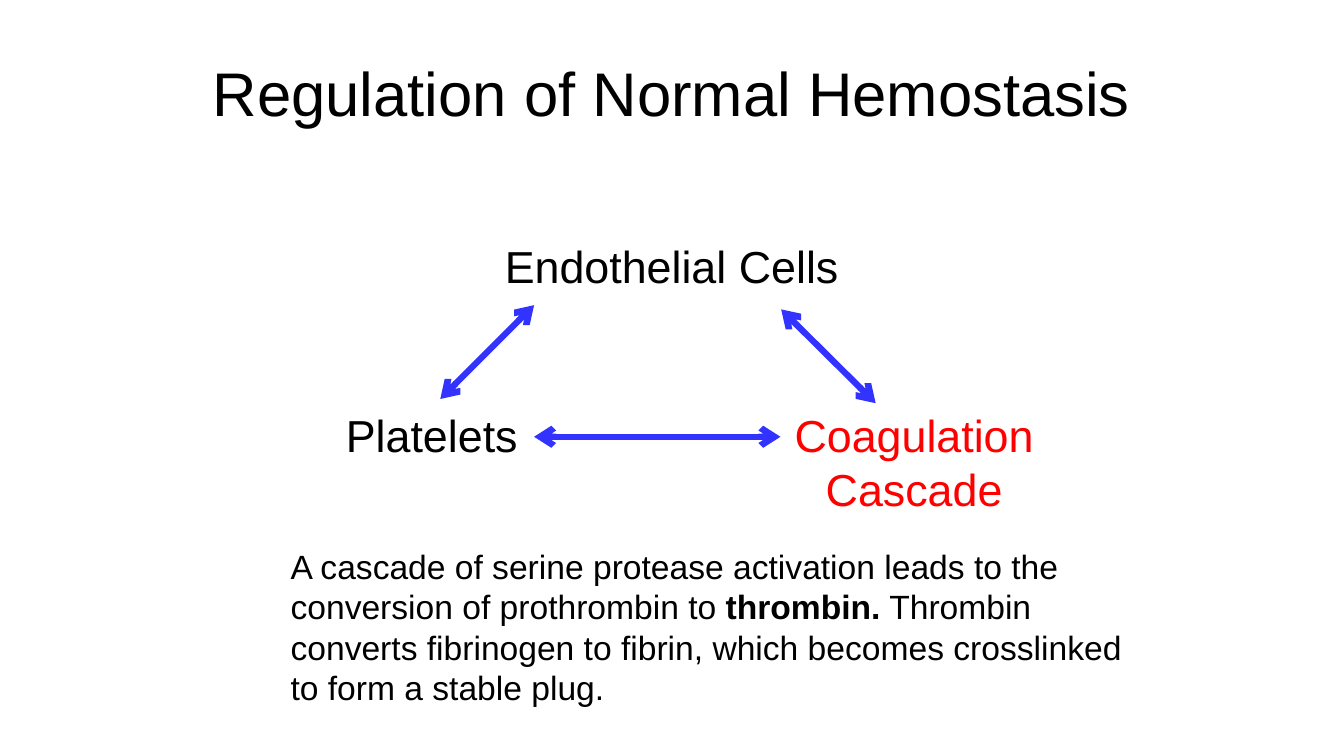
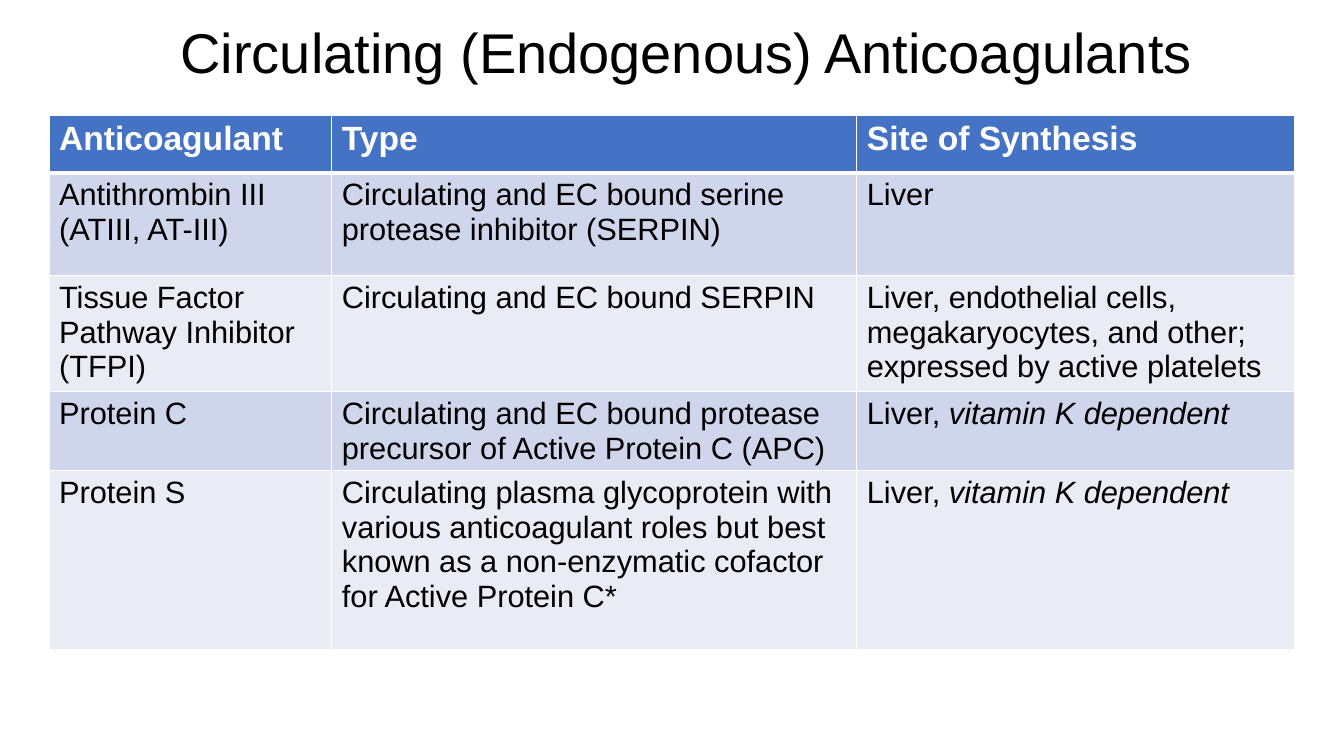
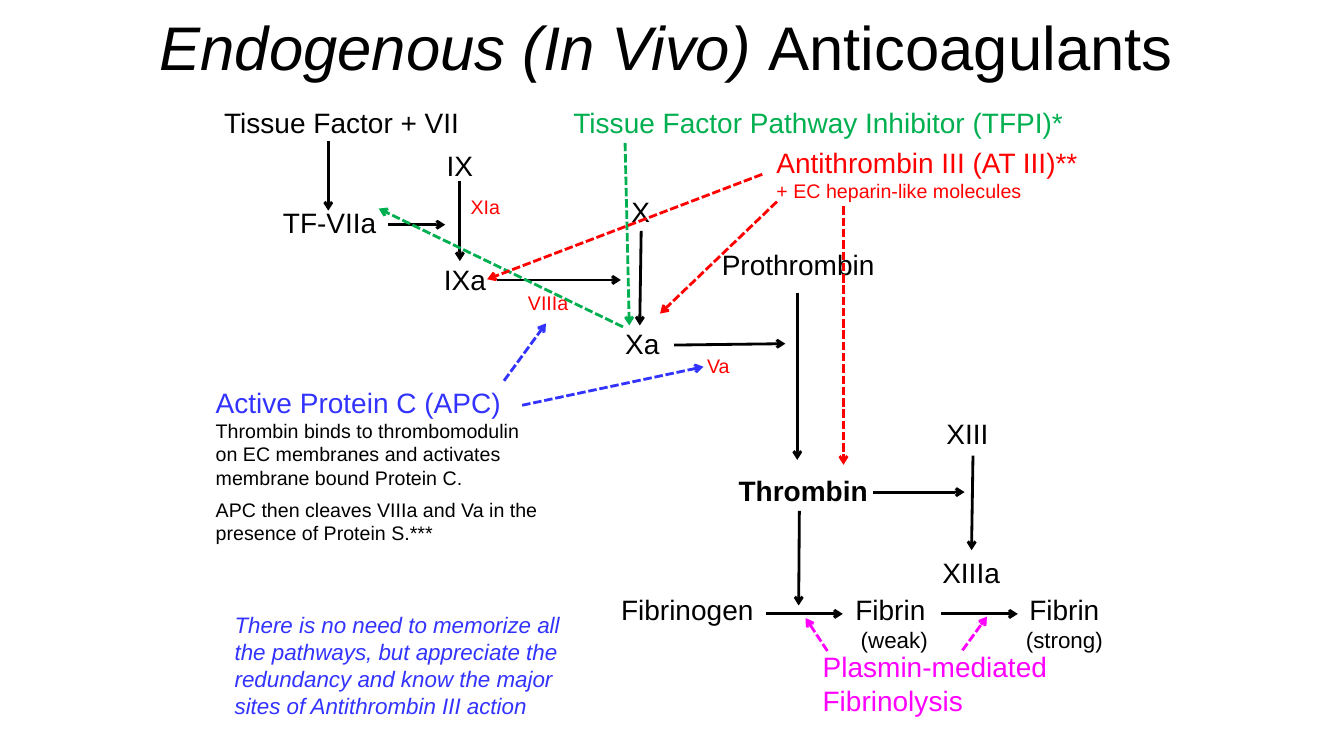
import dataclasses

import pptx
import pptx.dml.color
import pptx.enum.dml
import pptx.enum.shapes
import pptx.enum.text
import pptx.oxml
import pptx.oxml.ns
import pptx.util

Pt = pptx.util.Pt
CENTER = pptx.enum.text.PP_ALIGN.CENTER
LEFT = pptx.enum.text.PP_ALIGN.LEFT


@dataclasses.dataclass(frozen=True)
class Theme:
    font: str = "Arial"
    black: str = "000000"
    white: str = "FFFFFF"
    red: str = "FF0000"
    green: str = "00B050"
    blue: str = "3333FF"
    magenta: str = "FF00FF"
    header_fill: str = "4472C4"
    row_fills: tuple = ("CFD5EA", "E9EBF5")
    title: float = 44
    long_title: float = 40
    diagram: float = 32
    body: float = 24
    cell: float = 22
    label: float = 20
    note: float = 16
    small: float = 14


THEME = Theme()


def rgb(color):
    return pptx.dml.color.RGBColor.from_string(color)


def xml_element(tag, content="", **attributes):
    values = "".join(f' {name}="{value}"' for name, value in attributes.items())
    namespace = pptx.oxml.ns.nsdecls("a")
    return pptx.oxml.parse_xml(f"<a:{tag} {namespace}{values}>{content}</a:{tag}>")


def write(frame, text, *, size, color=THEME.black, bold=False, italic=False,
          align=LEFT, line_spacing=None, space_after=0):
    """Write one paragraph; text is a string or a list of (string, run format) pairs."""
    paragraph = frame.paragraphs[0]
    if paragraph.runs:
        paragraph = frame.add_paragraph()
    paragraph.alignment = align
    paragraph.line_spacing = line_spacing
    paragraph.space_after = Pt(space_after)
    parts = [(text, {})] if isinstance(text, str) else text
    for content, changes in parts:
        run = paragraph.add_run()
        run.text = content
        run.font.name = THEME.font
        run.font.size = Pt(size)
        run.font.bold = changes.get("bold", bold)
        run.font.italic = changes.get("italic", italic)
        run.font.color.rgb = rgb(color)


class Deck:
    def __init__(self, width, height):
        self.presentation = pptx.Presentation()
        self.presentation.slide_width = Pt(width)
        self.presentation.slide_height = Pt(height)
        self.slide = None

    def new_slide(self):
        self.slide = self.presentation.slides.add_slide(self.presentation.slide_layouts[6])

    def title(self, text, box, size=THEME.title):
        shape = self.slide.shapes.add_textbox(*map(Pt, box))
        frame = shape.text_frame
        frame.word_wrap = True
        frame.vertical_anchor = pptx.enum.text.MSO_ANCHOR.MIDDLE
        write(frame, text, size=size, align=CENTER, line_spacing=0.9)

    def text(self, text, box, wrap=False, **text_format):
        """Add a text box that grows with its text and return its frame."""
        shape = self.slide.shapes.add_textbox(*map(Pt, box))
        frame = shape.text_frame
        frame.word_wrap = wrap
        frame.auto_size = pptx.enum.text.MSO_AUTO_SIZE.SHAPE_TO_FIT_TEXT
        write(frame, text, **text_format)
        return frame

    def arrow(self, points, color=THEME.black, width=2, dashed=False, both_ends=False):
        connector = self.slide.shapes.add_connector(
            pptx.enum.shapes.MSO_CONNECTOR.STRAIGHT, *map(Pt, points))
        connector.line.color.rgb = rgb(color)
        connector.line.width = Pt(width)
        if dashed:
            connector.line.dash_style = pptx.enum.dml.MSO_LINE.SQUARE_DOT
        line = connector.get_or_add_ln()
        for end in ("headEnd", "tailEnd") if both_ends else ("tailEnd",):
            line.append(xml_element(end, type="arrow"))
        connector.element.spPr.append(xml_element("effectLst"))

    def table(self, rows, left, top, widths, heights):
        table = self.slide.shapes.add_table(
            len(rows), len(widths), Pt(left), Pt(top),
            Pt(sum(widths)), Pt(sum(heights))).table
        for column, width in zip(table.columns, widths):
            column.width = Pt(width)
        for row, height in zip(table.rows, heights):
            row.height = Pt(height)
        for row_index, row in enumerate(rows):
            header = row_index == 0
            fill = THEME.header_fill if header else THEME.row_fills[(row_index - 1) % 2]
            for column_index, paragraphs in enumerate(row):
                cell = table.cell(row_index, column_index)
                cell.margin_bottom = Pt(0)
                self.cell_borders(cell, top=3 if row_index == 1 else 1,
                                  bottom=3 if header else 1)
                cell.fill.solid()
                cell.fill.fore_color.rgb = rgb(fill)
                for text in paragraphs:
                    write(cell.text_frame, text, bold=header,
                          size=THEME.body if header else THEME.cell,
                          color=THEME.white if header else THEME.black)

    def cell_borders(self, cell, top, bottom):
        properties = cell._tc.get_or_add_tcPr()
        fill = f'<a:solidFill><a:srgbClr val="{THEME.white}"/></a:solidFill>'
        for side, width in (("lnL", 1), ("lnR", 1), ("lnT", top), ("lnB", bottom)):
            properties.append(xml_element(side, fill, w=int(Pt(width))))


def regulation_slide(deck):
    deck.new_slide()
    deck.title("Regulation of Normal Hemostasis", (120, 24, 720, 90))
    deck.text("Endothelial Cells", (353.5, 167, 268, 46), wrap=True, size=THEME.diagram)
    deck.text("Platelets", (240, 288, 177, 46), wrap=True, size=THEME.diagram)
    deck.text("Coagulation Cascade", (558, 288, 190, 85), wrap=True,
              size=THEME.diagram, color=THEME.red, align=CENTER)
    for points in ((381.5, 312, 557.5, 312), (314.5, 285, 381.5, 218),
                   (625.5, 288, 558, 221)):
        deck.arrow(points, THEME.blue, width=4.5, both_ends=True)
    deck.text([
        ("A cascade of serine protease activation leads to the conversion of "
         "prothrombin to ", {}),
        ("thrombin.", {"bold": True}),
        (" Thrombin converts fibrinogen to fibrin, which becomes crosslinked "
         "to form a stable plug.", {}),
    ], (200.5, 386.5, 620.5, 147.5), wrap=True, size=THEME.body)


def anticoagulant_table_slide(deck):
    deck.new_slide()
    deck.title("Circulating (Endogenous) Anticoagulants", (77, 0, 826, 79.5),
               THEME.long_title)
    vitamin_dependent = [("Liver, ", {}), ("vitamin K dependent", {"italic": True})]
    rows = [
        (["Anticoagulant"], ["Type"], ["Site of Synthesis"]),
        (["Antithrombin III", "(ATIII, AT-III)"],
         ["Circulating and EC bound serine protease inhibitor (SERPIN)"],
         ["Liver"]),
        (["Tissue Factor Pathway Inhibitor (TFPI)"],
         ["Circulating and EC bound SERPIN"],
         ["Liver, endothelial cells, megakaryocytes, and other; "
          "expressed by active platelets"]),
        (["Protein C"],
         ["Circulating and EC bound protease precursor of Active Protein C (APC)"],
         [vitamin_dependent]),
        (["Protein S"],
         ["Circulating plasma glycoprotein with various anticoagulant roles but best "
          "known as a non-enzymatic cofactor for Active Protein C*"],
         [vitamin_dependent]),
    ]
    deck.table(rows, 35, 82.5, (202, 375, 313), (41, 73.5, 81, 56.5, 128))


def pathway_slide(deck):
    deck.new_slide()
    deck.title([("Endogenous (In Vivo) ", {"italic": True}), ("Anticoagulants", {})],
               (27, 0, 898, 72.5))

    for text, left, top, width in (
            ("Tissue Factor + VII", 153, 72, 183.5), ("TF-VIIa", 195, 143.5, 82),
            ("IX", 312, 102.5, 34), ("IXa", 310, 184, 44.5),
            ("X", 444, 135.5, 28), ("Xa", 439.5, 229.5, 39.5),
            ("Prothrombin", 508.5, 173.5, 124.5), ("Fibrinogen", 436.5, 419.5, 110),
            ("XIII", 669, 294, 44.5), ("XIIIa", 666, 393, 56)):
        deck.text(text, (left, top, width, 31.5), size=THEME.label)
    deck.text("Thrombin", (520.5, 335, 108, 31.5), size=THEME.label, bold=True)
    for text, left, top, width in (("XIa", 329, 135.5, 38), ("VIIIa", 370, 204.5, 46),
                                   ("Va", 498, 249, 33)):
        deck.text(text, (left, top, width, 24.5), size=THEME.small, color=THEME.red)
    for name, strength, left in (("Fibrin ", "(weak)", 603.5),
                                 ("Fibrin", "(strong)", 725)):
        frame = deck.text(name, (left, 419.5, 70.5, 51), size=THEME.label, align=CENTER)
        write(frame, strength, size=THEME.note, align=CENTER)

    for points in (
            (234.5, 101, 234.5, 150.5), (277, 160.5, 318, 160.5),
            (328.5, 129, 328.5, 186.5), (355, 200, 443.5, 200),
            (458, 165, 457, 232.5), (481.5, 246.5, 561, 245.5),
            (569.5, 209, 569.5, 328.5), (571, 365, 570.5, 432.5),
            (547, 438.5, 602, 438.5), (672.5, 438.5, 727, 438.5),
            (623.5, 351.5, 689, 351.5), (695, 325.5, 694, 393)):
        deck.arrow(points)

    deck.text("Tissue Factor Pathway Inhibitor (TFPI)*", (402.5, 71.5, 367, 31.5),
              size=THEME.label, color=THEME.green)
    frame = deck.text("Antithrombin III (AT III)**", (547.5, 100.5, 231, 48),
                      size=THEME.label, color=THEME.red)
    write(frame, "+ EC heparin-like molecules", size=THEME.small, color=THEME.red)
    frame = deck.text("Active Protein C (APC)", (147, 271.5, 250.5, 122.5), wrap=True,
                      size=THEME.label, color=THEME.blue)
    write(frame, "Thrombin binds to thrombomodulin on EC membranes and activates "
                 "membrane bound Protein C.", size=THEME.small, space_after=6)
    write(frame, "APC then cleaves VIIIa and Va in the presence of Protein S.***",
          size=THEME.small)
    frame = deck.text("Plasmin-mediated", (580.5, 460.5, 176.5, 55.5),
                      size=THEME.label, color=THEME.magenta)
    write(frame, "Fibrinolysis", size=THEME.label, color=THEME.magenta)

    inhibitions = {
        THEME.green: ((445, 233.5, 270.5, 149), (446.5, 102, 449.5, 232.5)),
        THEME.red: ((544.5, 124.5, 348, 199.5), (555, 144, 471.5, 224),
                    (602.5, 147.5, 602.5, 332)),
        THEME.blue: ((360, 272, 390, 231), (373, 289.5, 502.5, 262)),
        THEME.magenta: ((687.5, 464.5, 705, 440.5), (591, 465, 575.5, 441.5)),
    }
    for color, arrows in inhibitions.items():
        for points in arrows:
            deck.arrow(points, color, dashed=True)

    deck.text("There is no need to memorize all the pathways, but appreciate the "
              "redundancy and know the major sites of Antithrombin III action",
              (160.5, 433, 265, 85), wrap=True, size=THEME.note,
              color=THEME.blue, italic=True)


def main():
    deck = Deck(960, 540)
    regulation_slide(deck)
    anticoagulant_table_slide(deck)
    pathway_slide(deck)
    deck.presentation.save("out.pptx")


if __name__ == "__main__":
    main()
